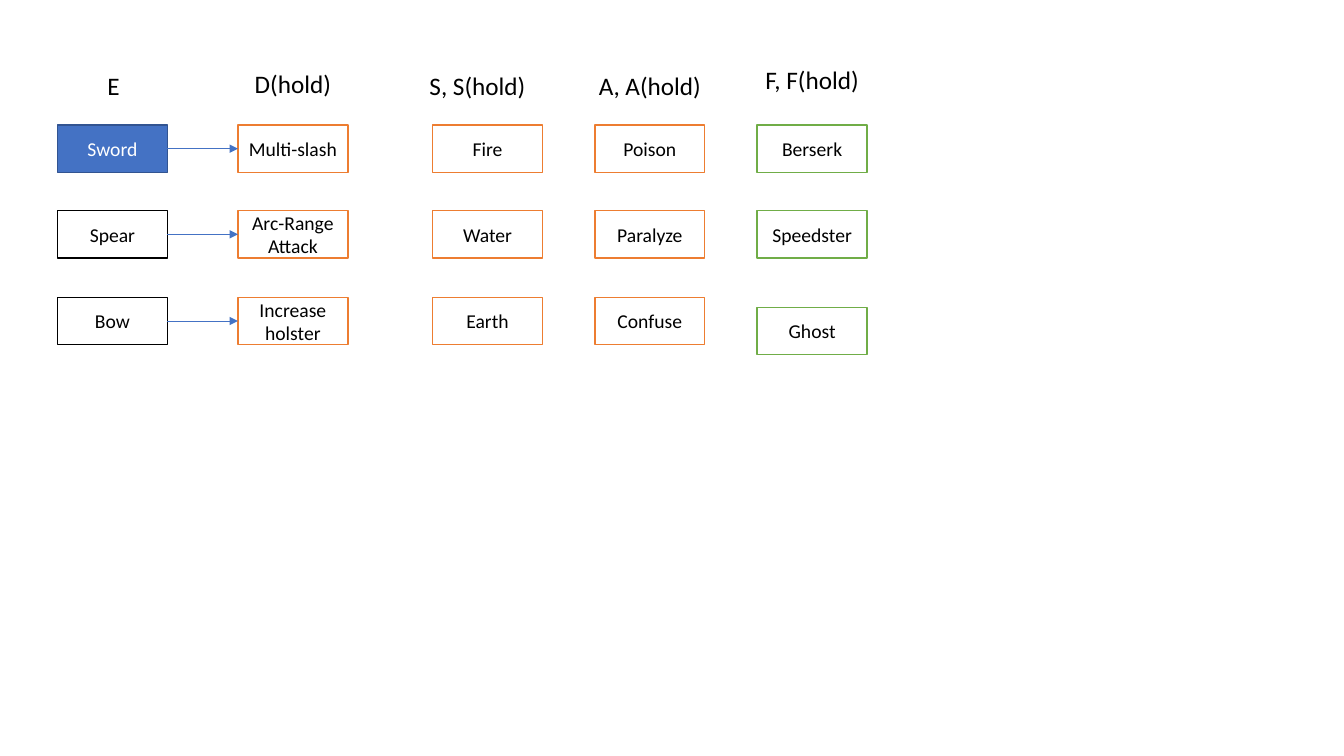
"""Build a slide mapping control keys to weapons, attacks, elements, ailments and modes."""
from dataclasses import dataclass

from lxml import etree
from pptx import Presentation
from pptx import util as u
from pptx.dml.color import RGBColor
from pptx.enum import shapes, text
from pptx.oxml import ns

BLACK, WHITE, BLUE, NAVY = "000000", "FFFFFF", "4472C4", "325491"
ORANGE, GREEN = "ED7D31", "70AD47"
BOX_W, BOX_H = 1.09, 0.47
HEADER_W, HEADER_H = 1.29, 0.4
ROW_TOPS = (1.24, 2.09, 2.95)


@dataclass(frozen=True)
class Column:
    """A key header and the options it selects."""

    left: float
    header: str
    header_left: float
    header_top: float
    options: tuple[str, ...]
    outline: str
    tops: tuple[float, ...] = ROW_TOPS


COLUMNS = (
    Column(0.57, "E", 0.48, 0.65, ("Sword", "Spear", "Bow"), BLACK),
    Column(2.36, "D(hold)", 2.26, 0.63,
           ("Multi-slash", "Arc-Range Attack", "Increase holster"), ORANGE),
    Column(4.29, "S, S(hold)", 4.09, 0.65, ("Fire", "Water", "Earth"), ORANGE),
    Column(5.9, "A, A(hold)", 5.8, 0.65, ("Poison", "Paralyze", "Confuse"), ORANGE),
    Column(7.51, "F, F(hold)", 7.41, 0.59, ("Berserk", "Speedster", "Ghost"), GREEN,
           (1.24, 2.09, 3.05)),
)
SELECTED = "Sword"


def rgb(value: str) -> RGBColor:
    """Return the colour for a hex string."""
    return RGBColor.from_string(value)


def write(sp, content: str, size: int, color: str) -> None:
    """Put centred, wrapped text in a shape."""
    tf = sp.text_frame
    tf.word_wrap = True
    tf.text = content
    p = tf.paragraphs[0]
    p.alignment = text.PP_ALIGN.CENTER
    r = p.runs[0]
    r.font.name = "Calibri"
    r.font.size = u.Pt(size)
    r.font.color.rgb = rgb(color)


def add_box(s, label: str, left: float, top: float, outline: str) -> None:
    """Draw one option box, filled when it is the selected one."""
    selected = label == SELECTED
    sp = s.shapes.add_shape(shapes.MSO_SHAPE.RECTANGLE, u.Inches(left), u.Inches(top),
                            u.Inches(BOX_W), u.Inches(BOX_H))
    sp.shadow.inherit = False
    sp.fill.solid()
    sp.fill.fore_color.rgb = rgb(BLUE if selected else WHITE)
    sp.line.color.rgb = rgb(NAVY if selected else outline)
    sp.line.width = u.Pt(1)
    sp.text_frame.vertical_anchor = text.MSO_ANCHOR.MIDDLE
    write(sp, label, 14, WHITE if selected else BLACK)


def add_header(s, column: Column) -> None:
    """Write the key above a column."""
    sp = s.shapes.add_textbox(u.Inches(column.header_left), u.Inches(column.header_top),
                              u.Inches(HEADER_W), u.Inches(HEADER_H))
    write(sp, column.header, 18, BLACK)
    sp.text_frame.auto_size = text.MSO_AUTO_SIZE.SHAPE_TO_FIT_TEXT


def add_arrow(s, start: float, end: float, y: float) -> None:
    """Draw a horizontal arrow."""
    sp = s.shapes.add_connector(shapes.MSO_CONNECTOR.STRAIGHT, u.Inches(start),
                                u.Inches(y), u.Inches(end), u.Inches(y))
    sp.line.color.rgb = rgb(BLUE)
    sp.line.width = u.Pt(0.5)
    etree.SubElement(sp.line._get_or_add_ln(), ns.qn("a:tailEnd"), type="triangle")
    etree.SubElement(sp._element.spPr, ns.qn("a:effectLst"))


def main() -> None:
    """Build and save the slide."""
    prs = Presentation()
    prs.slide_width, prs.slide_height = u.Inches(13.33), u.Inches(7.5)
    s = prs.slides.add_slide(prs.slide_layouts[6])
    for column in COLUMNS:
        add_header(s, column)
        for label, top in zip(column.options, column.tops):
            add_box(s, label, column.left, top, column.outline)
    weapons, attacks = COLUMNS[:2]
    for top in ROW_TOPS:
        add_arrow(s, weapons.left + BOX_W, attacks.left, top + BOX_H / 2)
    prs.save("out.pptx")


main()
